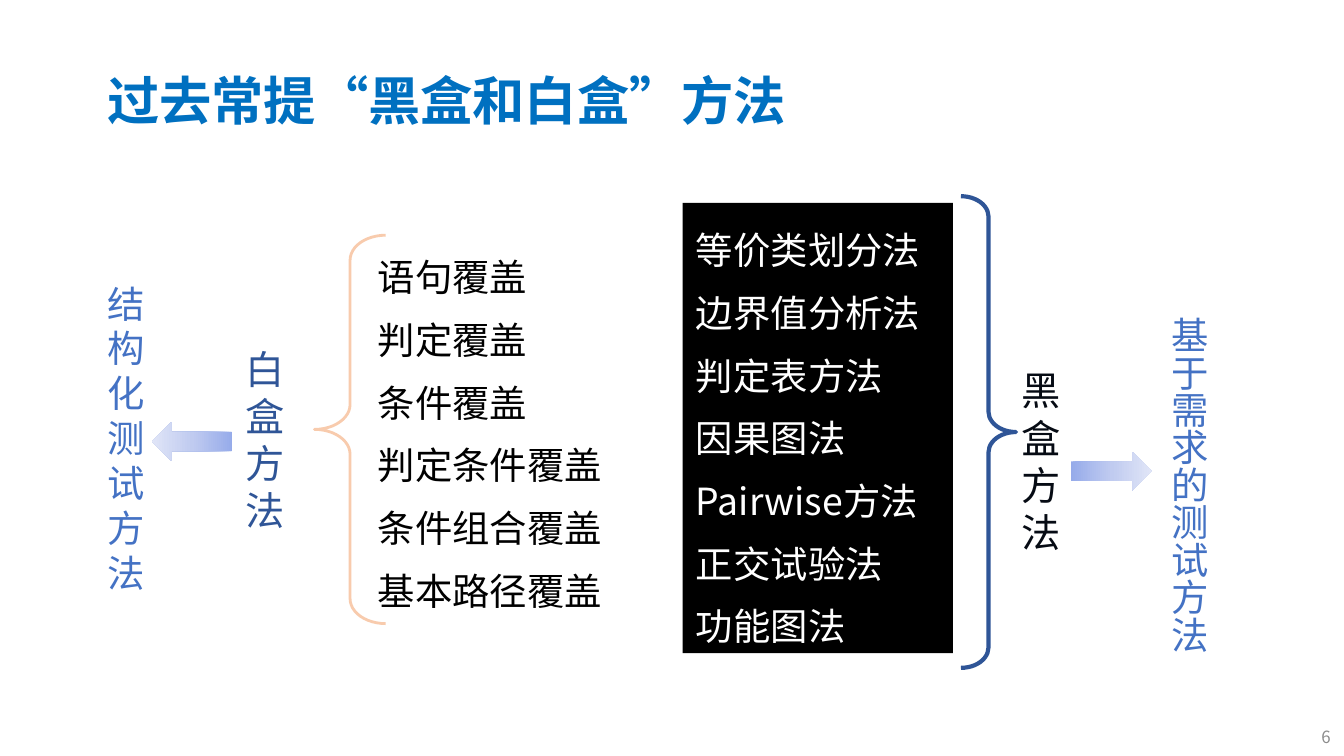
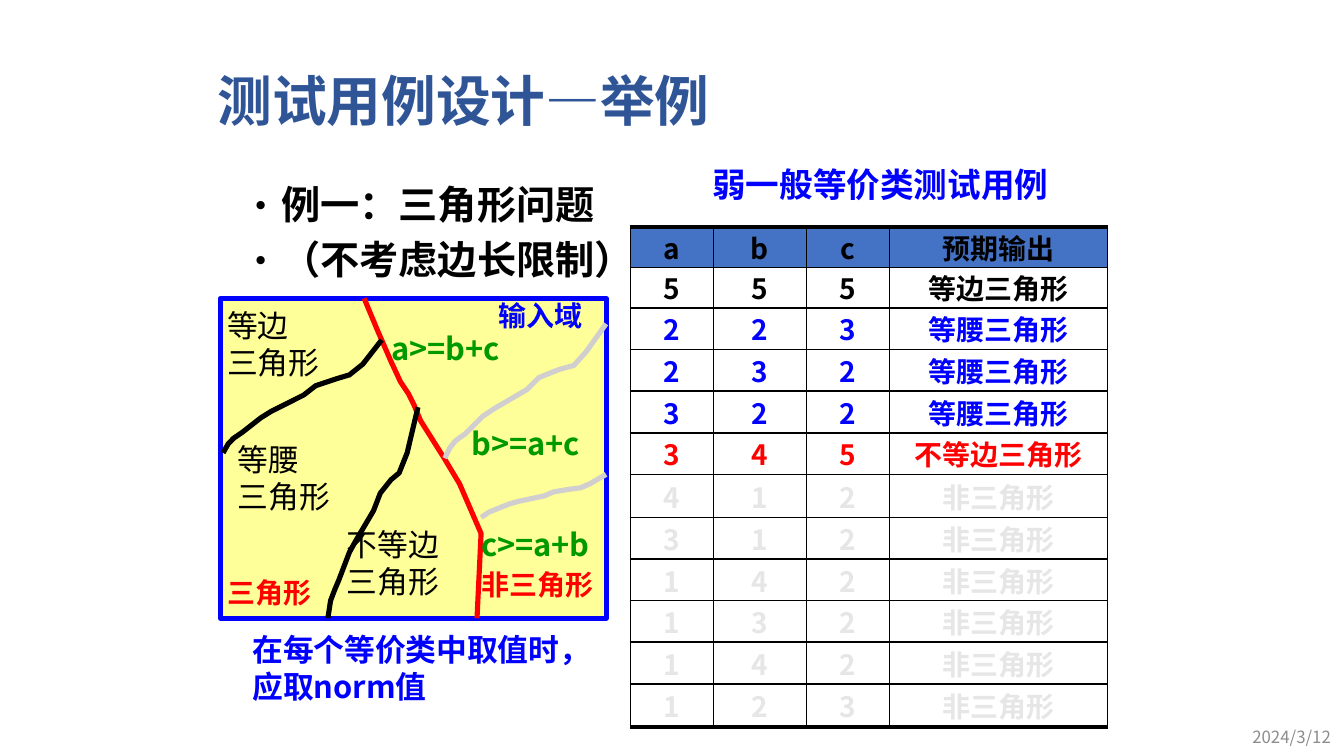
import copy
import lxml.etree
import pptx
import pptx.dml.color
import pptx.enum.shapes
import pptx.enum.text
import pptx.oxml.ns
import pptx.util

RGB = pptx.dml.color.RGBColor
KIND = pptx.enum.shapes.MSO_SHAPE
ALIGN = pptx.enum.text.PP_ALIGN
ANCHOR = pptx.enum.text.MSO_ANCHOR
Pt = pptx.util.Pt
qn = pptx.oxml.ns.qn

PX = 9144  # 100 px to the inch
FONT = "Noto Sans CJK SC"

BLACK = RGB(0, 0, 0)
WHITE = RGB(255, 255, 255)
INK = RGB(0x06, 0x0B, 0x14)
SKY = RGB(0x00, 0x70, 0xC0)
NAVY = RGB(0x2F, 0x55, 0x97)
STEEL = RGB(0x44, 0x72, 0xC4)
PEACH = RGB(0xF8, 0xCB, 0xAD)
BLUE = RGB(0, 0, 255)
RED = RGB(255, 0, 0)
GREEN = RGB(0, 0x99, 0)
YELLOW = RGB(255, 255, 0x99)
SILVER = RGB(0xD0, 0xCE, 0xCE)
PALE = RGB(0xE7, 0xE6, 0xE6)
GREY = RGB(0x8C, 0x8C, 0x8C)
FADE = [(0, RGB(0x96, 0xAB, 0xEA)), (0.5, RGB(0xC0, 0xCB, 0xF0)),
        (1, RGB(0xE0, 0xE5, 0xF7))]

WHITE_BOX = ["语句覆盖", "判定覆盖", "条件覆盖", "判定条件覆盖", "条件组合覆盖", "基本路径覆盖"]
BLACK_BOX = ["等价类划分法", "边界值分析法", "判定表方法", "因果图法", "Pairwise方法",
             "正交试验法", "功能图法"]
# text, place, size, colour, text direction
SIDES = [
    ("黑盒方法", (750, 268, 77, 151), 21, INK, None),
    ("白盒方法", (173, 252, 77, 151), 21, NAVY, None),
    ("基于需求的测试方法", (852, 226, 54, 285), 20, STEEL, "eaVert"),
    ("结构化测试方法", (70, 204, 60, 246), 20, STEEL, None),
]
# kind, place, bend, colour, width
BRACES = [
    (KIND.RIGHT_BRACE, (715, 146, 41, 351), 0.37, NAVY, 2.25),
    (KIND.LEFT_BRACE, (234, 175, 53, 289), 0.35, PEACH, 1.5),
]
ARROWS = [((113, 314, 60, 29), 0), ((797, 336, 60, 29), 180)]

EXAMPLE = ["例一：三角形问题", "（不考虑边长限制）"]
HEAD = ("a", "b", "c", "预期输出")
CASES = [
    (BLACK, "等边三角形", ["555"]),
    (BLUE, "等腰三角形", ["223", "232", "322"]),
    (RED, "不等边三角形", ["345"]),
    (PALE, "非三角形", ["412", "312", "142", "132", "142", "123"]),
]
COLS = (62, 69, 62, 162)
ROWS = (30, 30) + (31, 31, 31, 31, 32) * 2

DOMAIN = (164, 222, 287, 238)
# lines, place, size, colour, bold
LABELS = [
    (["三角形"], (169, 428, 68, 25), 15, RED, True),
    (["输入域"], (371, 222, 75, 25), 15, BLUE, True),
    (["非三角形"], (358, 422, 91, 25), 15, RED, True),
    (["等边", "三角形"], (169, 228, 82, 56), 16.5, BLACK, False),
    (["等腰", "三角形"], (177, 328, 87, 56), 16.5, BLACK, False),
    (["不等边", "三角形"], (258, 391, 107, 56), 16.5, BLACK, False),
    (["a>=b+c"], (291, 245, 100, 28), 16.5, GREEN, True),
    (["b>=a+c"], (351, 316, 100, 28), 16.5, GREEN, True),
    (["c>=a+b"], (358, 391, 100, 28), 16.5, GREEN, True),
]
BORDERS = [
    (RED, [(271, 222), (281, 246), (291, 269), (298, 284), (304, 293), (308, 301),
           (313, 313), (330, 340), (342, 360), (358, 397), (355, 460)]),
    (BLACK, [(284, 253), (270, 271), (260, 279), (250, 282), (235, 287), (226, 294),
             (202, 306), (194, 311), (180, 322), (174, 326), (170, 330), (166, 337)]),
    (BLACK, [(311, 303), (303, 337), (297, 352), (291, 357), (283, 367), (278, 380),
             (265, 402), (260, 411), (252, 432), (249, 439), (246, 447), (244, 460)]),
    (SILVER, [(451, 241), (436, 262), (427, 272), (416, 275), (401, 281), (392, 290),
              (368, 304), (359, 310), (346, 323), (339, 328), (335, 333), (331, 341)]),
    (SILVER, [(451, 353), (439, 360), (432, 363), (424, 364), (412, 366), (405, 369),
              (386, 373), (379, 375), (369, 379), (364, 381), (358, 385)]),
]


def emu(nums):
    return [n * PX for n in nums]


def write(frame, lines, size=20, color=BLACK, bold=False, align=None, anchor=ANCHOR.TOP,
          inset=None, space=None, gap=0, hang=0, bullet=None, vert=None, wrap=True):
    frame.word_wrap = wrap
    frame.vertical_anchor = anchor
    if inset:
        (frame.margin_left, frame.margin_top,
         frame.margin_right, frame.margin_bottom) = emu(inset)
    if vert:
        frame._txBody.bodyPr.set("vert", vert)
    for i, line in enumerate(lines):
        par = frame.add_paragraph() if i else frame.paragraphs[0]
        props = par._p.get_or_add_pPr()
        if hang:
            props.set("marL", str(hang * PX))
            props.set("indent", str(-hang * PX))
        if bullet:
            lxml.etree.SubElement(props, qn("a:buFont")).set("typeface", FONT)
            lxml.etree.SubElement(props, qn("a:buChar")).set("char", bullet)
        par.alignment = align
        if space:
            par.line_spacing = space
        if i and gap:
            par.space_before = Pt(gap)
        run = par.add_run()
        run.text = line
        font = run.font
        font.size, font.bold, font.name = Pt(size), bold, FONT
        font.color.rgb = color
        east = lxml.etree.SubElement(run._r.get_or_add_rPr(), qn("a:ea"))
        east.set("typeface", FONT)


def label(shapes, at, lines, **form):
    write(shapes.add_textbox(*emu(at)).text_frame, lines, **form)


def paint(shape, fill=None, line=None, width=1):
    shape.shadow.inherit = False
    if fill is None:
        shape.fill.background()
    else:
        shape.fill.solid()
        shape.fill.fore_color.rgb = fill
    if line is None:
        shape.line.fill.background()
    else:
        shape.line.color.rgb = line
        shape.line.width = Pt(width)
    return shape


def fade(shape):
    """Three-stop fill, dark at the arrow's tail."""
    shape.fill.gradient()
    shape.fill.gradient_angle = 180
    stops = shape.element.spPr.find(".//" + qn("a:gsLst"))
    stops.append(copy.deepcopy(stops[0]))
    for stop, (pos, color) in zip(shape.fill.gradient_stops, FADE):
        stop.position = pos
        stop.color.rgb = color


def edge(cell, side, width):
    line = lxml.etree.SubElement(cell._tc.get_or_add_tcPr(), qn("a:ln" + side))
    line.set("w", str(Pt(width)))
    solid = lxml.etree.SubElement(line, qn("a:solidFill"))
    lxml.etree.SubElement(solid, qn("a:srgbClr")).set("val", str(BLACK))


def start(deck, title, at, foot, **form):
    """Add a slide with its title and footer."""
    shapes = deck.slides.add_slide(deck.slide_layouts[6]).shapes
    label(shapes, at, [title], bold=True, anchor=ANCHOR.MIDDLE, **form)
    label(shapes, (0, 537, 1000, 22), [foot], size=9, color=GREY,
          align=ALIGN.RIGHT, anchor=ANCHOR.MIDDLE)
    return shapes


def methods(deck):
    shapes = start(deck, "过去常提“黑盒和白盒”方法", (70, 47, 571, 60), "6",
                   size=28, color=SKY, space=0.9)
    panel = paint(shapes.add_shape(KIND.RECTANGLE, *emu((508, 151, 201, 335))), BLACK)
    write(panel.text_frame, BLACK_BOX, color=WHITE, align=ALIGN.LEFT, space=1.4)
    label(shapes, (281, 176, 195, 276), WHITE_BOX, inset=(0, 0, 0, 0), space=1.4, hang=9)
    for kind, at, bend, color, width in BRACES:
        brace = paint(shapes.add_shape(kind, *emu(at)), line=color, width=width)
        brace.adjustments[0] = bend
    for text, at, size, color, vert in SIDES:
        label(shapes, at, [text], size=size, color=color, vert=vert)
    for at, turn in ARROWS:
        arrow = paint(shapes.add_shape(KIND.LEFT_ARROW, *emu(at)))
        arrow.rotation = turn
        fade(arrow)


def grid(shapes):
    rows = [(BLACK, HEAD)]
    for color, result, inputs in CASES:
        rows += [(color, (*digits, result)) for digits in inputs]
    at = (469, 169, sum(COLS), sum(ROWS))
    table = shapes.add_table(len(rows), len(COLS), *emu(at)).table
    table.first_row = table.horz_banding = False
    for col, width in zip(table.columns, COLS):
        col.width = width * PX
    for r, (color, values) in enumerate(rows):
        table.rows[r].height = ROWS[r] * PX
        for c, value in enumerate(values):
            cell = table.cell(r, c)
            cell.margin_left = cell.margin_right = cell.margin_top = cell.margin_bottom = 0
            cell.vertical_anchor = ANCHOR.MIDDLE
            write(cell.text_frame, [value], size=15, color=color, bold=True,
                  align=ALIGN.CENTER)
            for side in "LRTB":
                outer = (side, r) in (("T", 0), ("B", len(rows) - 1))
                edge(cell, side, 2.25 if outer else 1)
            if r:
                cell.fill.background()
            else:
                cell.fill.solid()
                cell.fill.fore_color.rgb = STEEL


def domain(shapes):
    group = shapes.add_group_shape().shapes
    paint(group.add_shape(KIND.RECTANGLE, *emu(DOMAIN)), YELLOW, BLUE, 2.75)
    for color, points in BORDERS:
        path = group.build_freeform(*points[0], scale=PX)
        path.add_line_segments(points[1:], close=False)
        paint(path.convert_to_shape(), line=color, width=2.75)
    for lines, at, size, color, bold in LABELS:
        label(group, at, lines, size=size, color=color, bold=bold, inset=(0, 0, 0, 0),
              wrap=False)


def example(deck):
    shapes = start(deck, "测试用例设计—举例", (155, 33, 617, 83), "2024/3/12",
                   size=29.3, color=NAVY, align=ALIGN.JUSTIFY, inset=(7, 4, 7, 4))
    label(shapes, (173, 130, 638, 94), EXAMPLE, size=21, bold=True,
          inset=(7, 4, 7, 4), gap=4.2, hang=28, bullet="•")
    grid(shapes)
    label(shapes, (530, 122, 260, 30), ["弱一般等价类测试用例"], size=18, color=BLUE,
          bold=True, inset=(0, 0, 0, 0))
    domain(shapes)
    label(shapes, (188, 469, 250, 56), ["在每个等价类中取值时，应取norm值"], size=16.5,
          color=BLUE, bold=True, inset=(0, 0, 0, 0))


def main():
    deck = pptx.Presentation()
    deck.slide_width, deck.slide_height = Pt(720), Pt(405)
    methods(deck)
    example(deck)
    deck.save("out.pptx")


if __name__ == "__main__":
    main()
